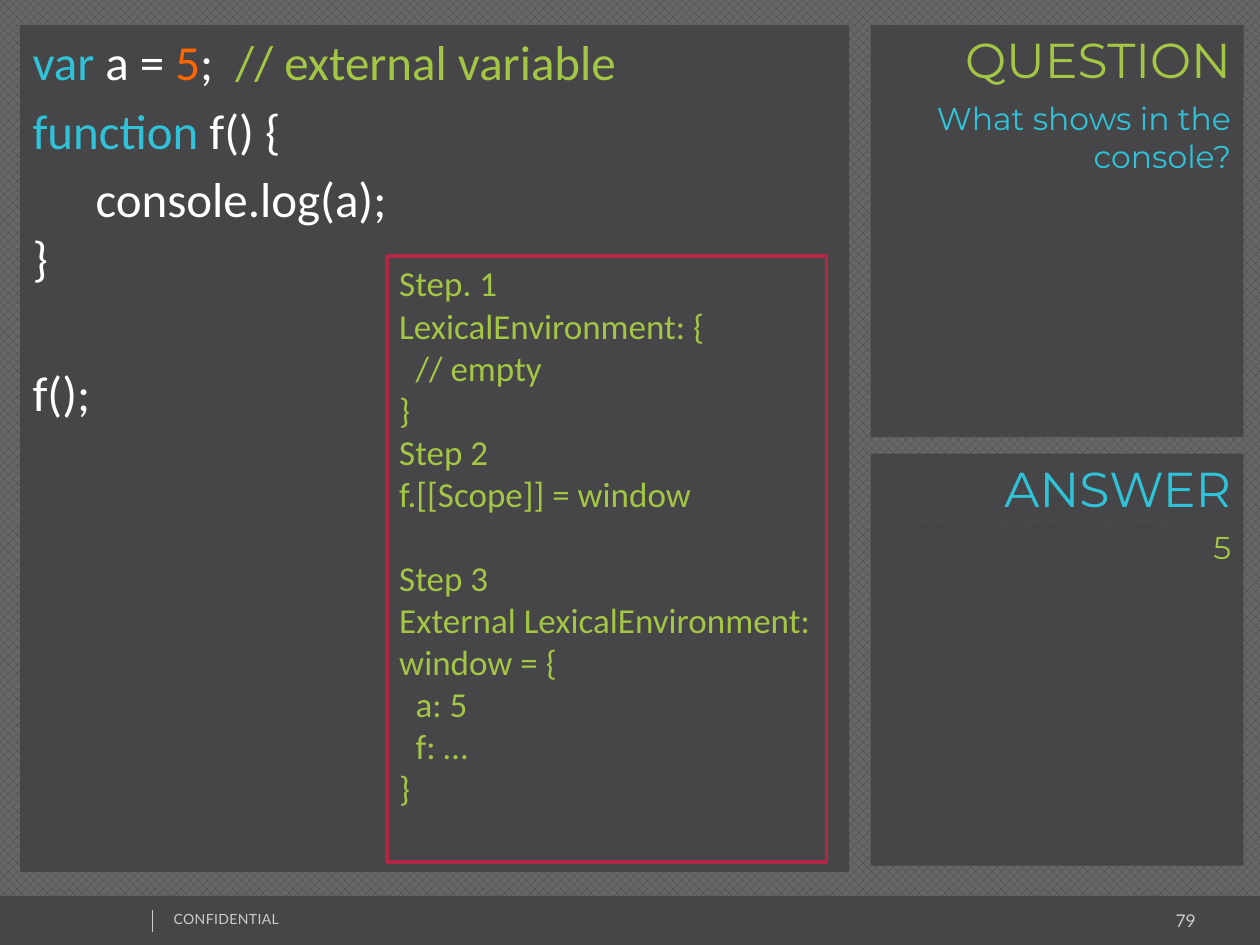
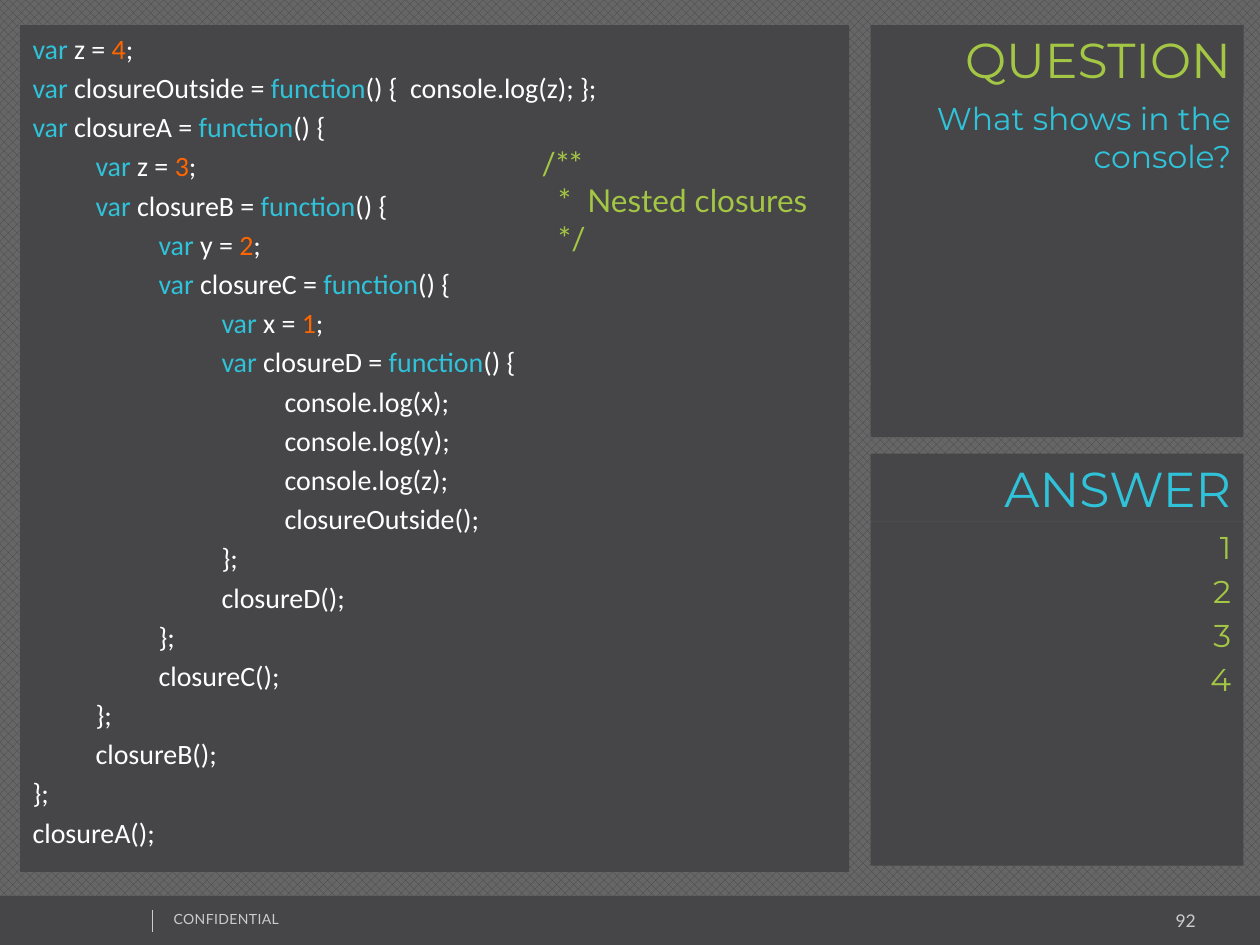
from dataclasses import dataclass
from lxml.etree import SubElement as Sub
from pptx import Presentation
from pptx.dml.color import RGBColor as Rgb
from pptx.enum.dml import MSO_PATTERN as Pat
from pptx.enum.shapes import MSO_CONNECTOR as Conn, MSO_SHAPE as Geo
from pptx.enum.text import MSO_ANCHOR as Anchor, MSO_AUTO_SIZE as Auto, PP_ALIGN as Align
from pptx.oxml.ns import qn
from pptx.util import Inches as In, Pt


# Theme: colours, fonts, type sizes
@dataclass(frozen=True)
class Theme:
    dark: str = "464547"
    grey: str = "666666"
    pale: str = "CCCCCC"
    white: str = "FFFFFF"
    blue: str = "2FC2D9"
    green: str = "A3C644"
    orange: str = "FF6600"
    red: str = "B22746"
    code: str = "Calibri"
    head: str = "Montserrat"
    foot: str = "Lato"
    title: int = 28
    body: int = 18
    step: int = 20
    page: int = 10
    tiny: int = 8


T = Theme()

# Content: a line is (depth, text) or (depth, text, points before);
# text between bars is highlighted
ASK = [(0, "What shows in the console?")]
SLIDES = [
    dict(
        page="79", size=28, answer=["5"],
        code=[
            (0, "|var| a = |5|;  |// external variable|"),
            (0, "|function| f() {"),
            (1, "console.log(a);"),
            (0, "}", 0),
            (0, "f();", 43.5),
        ],
        note=dict(
            at=(3.07, 2.03, 3.49, 4.81), font=T.code, size=T.step, edge=T.red,
            lines=[
                (0, "Step. 1"), (0, "LexicalEnvironment: {"), (1, "// empty"),
                (0, "}"), (0, "Step 2"), (0, "f.[[Scope]] = window"),
                (0, "Step 3", 24), (0, "External LexicalEnvironment:"),
                (0, "window = {"), (1, "a: 5"), (1, "f: …"), (0, "}"),
            ]),
    ),
    dict(
        page="92", size=16, answer=["1", "2", "3", "4"],
        code=[
            (0, "|var |z = |4|;"),
            (0, "|var| closureOutside = |function|() {  console.log(z); };"),
            (0, "|var| closureA = |function|() {"),
            (1, "|var| z = |3|;"),
            (1, "|var| closureB = |function|() {"),
            (2, "|var| y = |2|;"),
            (2, "|var| closureC = |function|() {"),
            (3, "|var| x = |1|;"),
            (3, "|var| closureD = |function|() {"),
            (4, "console.log(x);"),
            (4, "console.log(y);"),
            (4, "console.log(z);"),
            (4, "closureOutside();"),
            (3, "};"), (3, "closureD();"),
            (2, "};"), (2, "closureC();"),
            (1, "};"), (1, "closureB();"),
            (0, "};"), (0, "closureA();"),
        ],
        note=dict(
            at=(4.2, 1.09, 2.5, 1.01), font=T.foot, size=T.body, edge=None,
            lines=[(0, "/**"), (1, "*  Nested closures"), (1, "*/")]),
    ),
]

# Grid, in inches
WIDE, HIGH = 10, 7.5
TOP, HEAD, CARD = 0.2, 0.54, 2.73
CODE = (0.16, TOP, 6.58, 6.72)
SIDE, SPAN = 6.91, 2.96
STEP = 3.4          # from the question card to the answer card
BAND = 7.11
TAB, NUDGE = 0.5, 0.13


def tint(part):
    """Colour of a highlighted piece of code."""
    if part.strip() in ("var", "function"):
        return T.blue
    return T.orange if part.isdigit() else T.green


def lead(para, gap):
    """Space before: points, or a fifth of a line when gap is None."""
    if gap is not None:
        para.space_before = Pt(gap)
        return
    room = Sub(para._p.get_or_add_pPr(), qn("a:spcBef"))
    Sub(room, qn("a:spcPct")).set("val", "20000")


def write(shape, lines, font, size, color, align=Align.LEFT,
          anchor=Anchor.TOP, tab=TAB, gap=None, wrap=True):
    frame = shape.text_frame
    frame.word_wrap, frame.auto_size = wrap, Auto.NONE
    frame.vertical_anchor = anchor
    for i, (depth, text, *own) in enumerate(lines):
        para = frame.paragraphs[0] if i == 0 else frame.add_paragraph()
        para.alignment = align
        lead(para, own[0] if own else gap)
        if depth:
            para._p.get_or_add_pPr().set("marL", str(In(depth * tab)))
        para.font.name, para.font.size = font, Pt(size)
        para.font.color.rgb = Rgb.from_string(color)
        for k, part in enumerate(text.split("|")):
            if part:
                run = para.add_run()
                run.text = part
                if k % 2:
                    run.font.color.rgb = Rgb.from_string(tint(part))


def paint(shape, edge=None):
    shape.fill.solid()
    shape.fill.fore_color.rgb = Rgb.from_string(T.dark)
    if edge:
        shape.line.color.rgb = Rgb.from_string(edge)
        shape.line.width = Pt(2)
    else:
        shape.line.fill.background()


def panel(slide, at, edge=None):
    shape = slide.shapes.add_shape(Geo.RECTANGLE, *map(In, at))
    shape.shadow.inherit = False
    paint(shape, edge)
    return shape


def label(slide, at):
    return slide.shapes.add_textbox(*map(In, at))


def footer(slide, page):
    panel(slide, (0, BAND, WIDE, HIGH - BAND))
    write(label(slide, (7.96, 7.17, 1.63, 0.27)), [(0, page)],
          T.foot, T.page, T.pale, Align.RIGHT, gap=0)
    mark = label(slide, (1.28, 7.18, 2.53, 0.24))
    write(mark, [(0, "CONFIDENTIAL")], T.foot, T.tiny, T.pale, gap=0)
    mark.text_frame.paragraphs[0].runs[0].font._element.set("spc", "20")
    rule = slide.shapes.add_connector(
        Conn.STRAIGHT, In(1.21), In(7.22), In(1.21), In(7.4))
    rule.line.color.rgb = Rgb.from_string(T.pale)
    rule.line.width = Pt(0.25)
    Sub(rule._element.spPr, qn("a:effectLst"))


def card(slide, row, name, lines, hue, ink):
    """Heading over a body; the first heading is the slide title."""
    top = TOP + row * STEP
    at = (SIDE, top, SPAN, HEAD)
    if row == 0:
        head = slide.shapes.title
        head.left, head.top, head.width, head.height = map(In, at)
        paint(head)
    else:
        head = panel(slide, at)
    write(head, [(0, name)], T.head, T.title, hue, Align.RIGHT, Anchor.MIDDLE)
    body = panel(slide, (SIDE, top + HEAD, SPAN, CARD))
    write(body, lines, T.head, T.body, ink, Align.RIGHT)


def note(slide, at, font, size, edge, lines):
    box = panel(slide, at, edge) if edge else label(slide, at)
    write(box, lines, font, size, T.green, tab=NUDGE, gap=0, wrap=not edge)


def build(deck, page, size, answer, code, note_box):
    slide = deck.slides.add_slide(deck.slide_layouts[5])
    footer(slide, page)
    card(slide, 0, "QUESTION", ASK, T.green, T.blue)
    card(slide, 1, "ANSWER", [(0, a) for a in answer], T.blue, T.green)
    write(panel(slide, CODE), code, T.code, size, T.white)
    note(slide, **note_box)


def main():
    deck = Presentation()
    deck.slide_width, deck.slide_height = In(WIDE), In(HIGH)
    back = deck.slide_master.background.fill
    back.patterned()
    back.pattern = Pat.PERCENT_50
    back.fore_color.rgb = Rgb.from_string(T.dark)
    back.back_color.rgb = Rgb.from_string(T.grey)
    for s in SLIDES:
        build(deck, s["page"], s["size"], s["answer"], s["code"], s["note"])
    deck.save("out.pptx")


if __name__ == "__main__":
    main()
